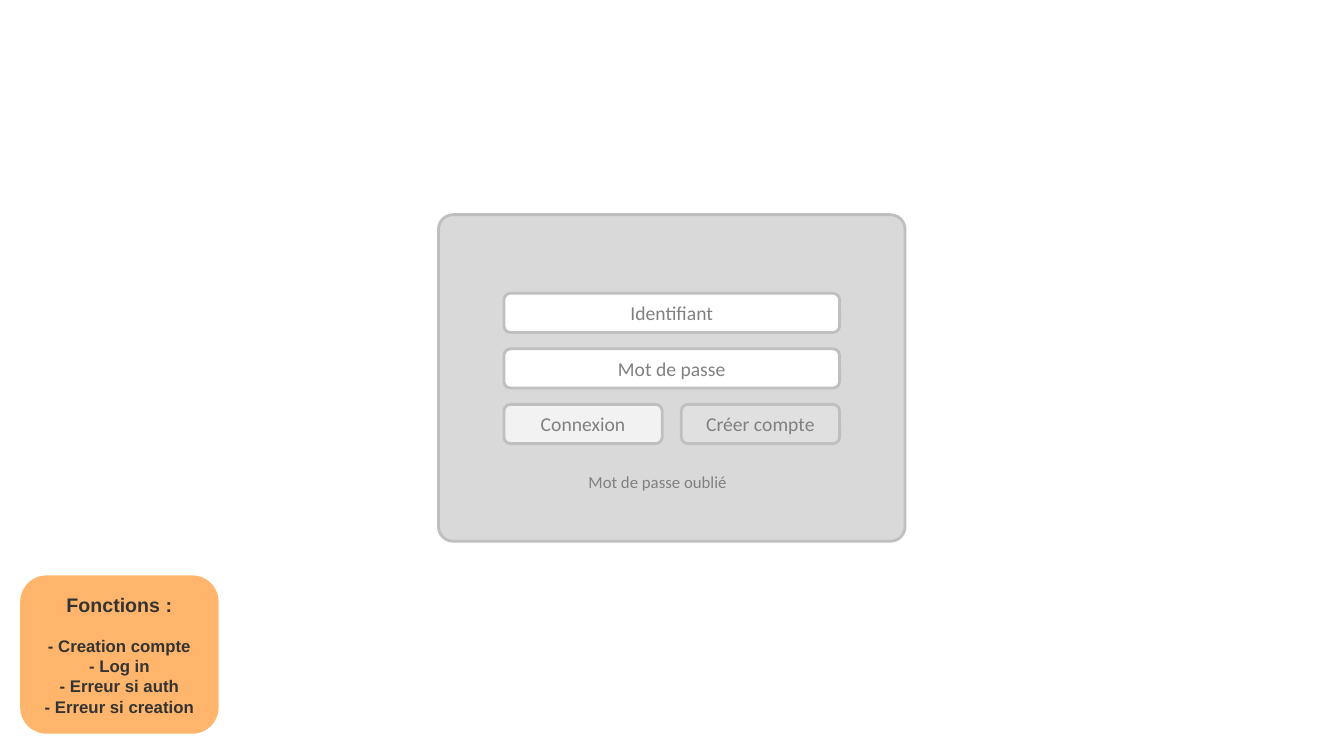
from pptx import Presentation
from pptx import util as u
from pptx.dml.color import RGBColor
from pptx.enum import shapes, text

EDGE, GREY, DARK = "BFBFBF", "808080", "333333"


def color(code):
    return RGBColor.from_string(code)


def style(par, size, tint, face="Calibri", bold=False):
    font = par.font
    font.name, font.size, font.bold = face, u.Pt(size), bold
    font.color.rgb = color(tint)


def add_box(parent, kind, box, fill, edge=None):
    shape = parent.add_shape(kind, *map(u.Cm, box))
    shape.shadow.inherit = False
    shape.fill.solid()
    shape.fill.fore_color.rgb = color(fill)
    if edge:
        shape.line.color.rgb = color(edge)
        shape.line.width = u.Pt(2)
    else:
        shape.line.fill.background()
    shape.text_frame.vertical_anchor = text.MSO_ANCHOR.MIDDLE
    return shape


def add_login(slide, left, top, width, height):
    group = slide.shapes.add_group_shape().shapes
    kind = shapes.MSO_SHAPE.ROUNDED_RECTANGLE
    panel = add_box(group, kind, (left, top, width, height), "D9D9D9", EDGE)
    panel.adjustments[0] = 0.045

    margin, gap, high, pitch = 1.65, 0.48, 0.99, 1.4
    inner = width - 2 * margin
    rows = [
        [("Identifiant", "FFFFFF")],
        [("Mot de passe", "FFFFFF")],
        [("Connexion", "F2F2F2"), ("Créer compte", "E0E0E0")],
    ]
    for row, cells in enumerate(rows):
        wide = (inner - gap * (len(cells) - 1)) / len(cells)
        for col, (label, fill) in enumerate(cells):
            box = (left + margin + col * (wide + gap),
                   top + 1.98 + row * pitch, wide, high)
            field = add_box(group, kind, box, fill, EDGE)
            par = field.text_frame.paragraphs[0]
            par.text = label
            par.alignment = text.PP_ALIGN.CENTER
            style(par, 14, GREY)

    link = slide.shapes.add_textbox(
        *map(u.Cm, (left + 3.53, top + 6.35, 4.42, 0.74)))
    link.text_frame.word_wrap = True
    par = link.text_frame.paragraphs[0]
    par.text = "Mot de passe oublié"
    style(par, 12, GREY)


def add_note(slide, *box):
    note = add_box(slide.shapes, shapes.MSO_SHAPE.FLOWCHART_ALTERNATE_PROCESS,
                   box, "FFB66C")
    frame = note.text_frame
    frame.text = "\n".join([
        "Fonctions\u00a0:".replace("\u00a0", " "),
        "- Creation compte",
        "- Log in",
        "- Erreur si auth",
        "- Erreur si creation",
    ])
    for row, par in enumerate(frame.paragraphs):
        par.alignment = text.PP_ALIGN.CENTER
        style(par, 12 if row else 14, DARK, "Arial", True)
    frame.paragraphs[1].space_before = u.Pt(14)


def main():
    deck = Presentation()
    deck.slide_width, deck.slide_height = u.Cm(33.87), u.Cm(19.05)
    slide = deck.slides.add_slide(deck.slide_layouts[6])
    add_login(slide, 11.05, 5.41, 11.76, 8.23)
    add_note(slide, 0.51, 14.5, 5, 3.99)
    deck.save("out.pptx")


if __name__ == "__main__":
    main()
